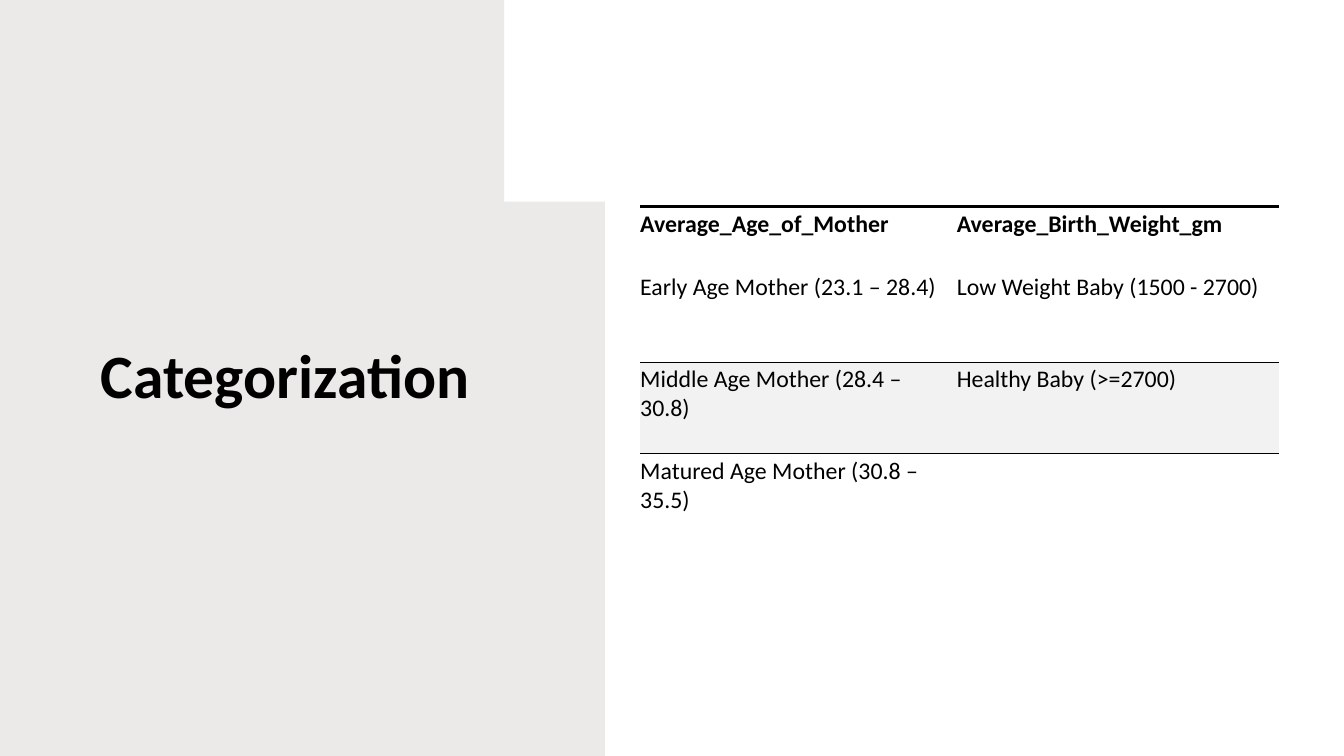
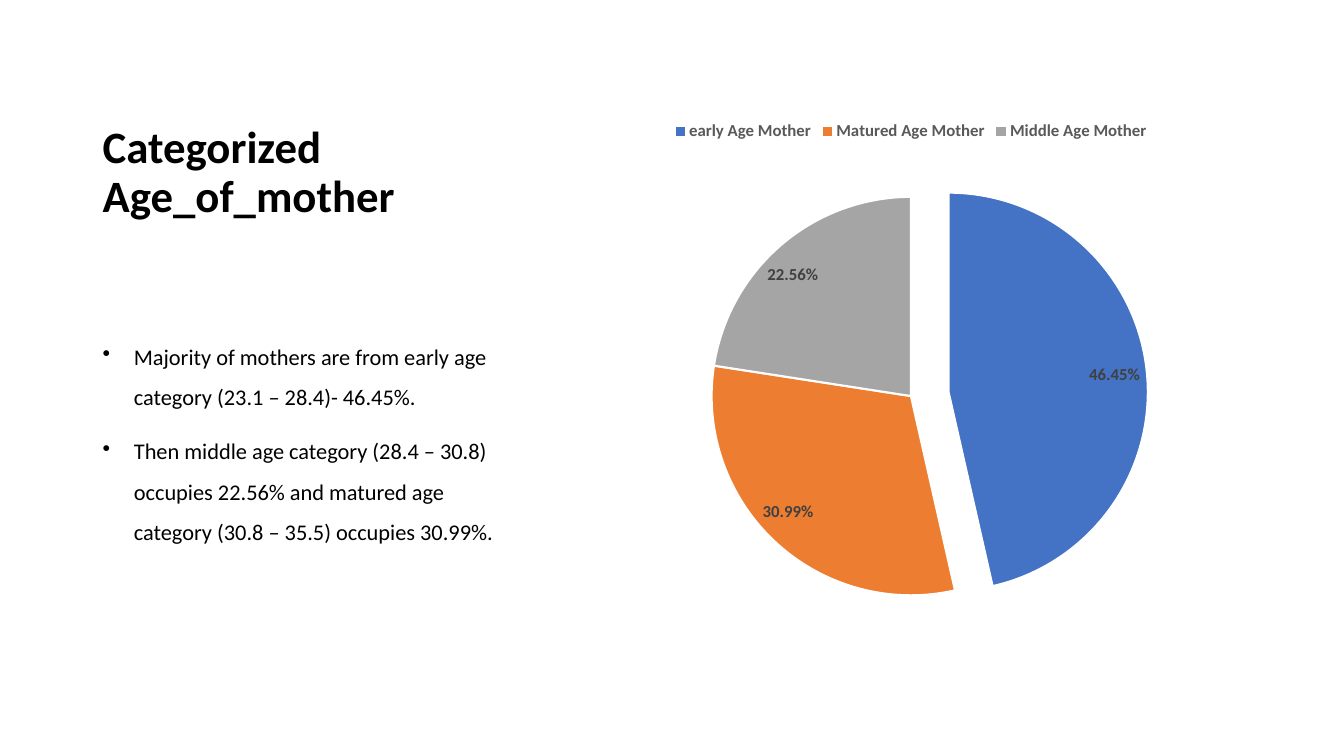
"""Build two slides on the categories of mothers' age and birth weight."""
from lxml.etree import SubElement
from pptx import Presentation
from pptx.chart.data import CategoryChartData
from pptx.dml.color import RGBColor
from pptx.enum.chart import XL_CHART_TYPE, XL_LABEL_POSITION, XL_LEGEND_POSITION
from pptx.enum.text import MSO_ANCHOR, PP_ALIGN
from pptx.oxml import parse_xml
from pptx.oxml.ns import nsdecls, qn
from pptx.util import Inches, Pt

FONT = "Calibri"
COLORS = {
    "text": "000000", "paper": "82766A", "stripe": "F2F2F2", "white": "FFFFFF",
    "legend": "595959", "label": "404040",
}
SLICE_COLORS = ["4472C4", "ED7D31", "A5A5A5"]
NO_TABLE_STYLE = "{2D5ABB26-0587-4C30-8999-92F81FD0307C}"

TABLE_ROWS = [
    ("Average_Age_of_Mother", "Average_Birth_Weight_gm"),
    ("Early Age Mother (23.1 – 28.4)", "Low Weight Baby (1500 - 2700)"),
    ("Middle Age Mother (28.4 – 30.8)", "Healthy Baby (>=2700)"),
    ("Matured Age Mother (30.8 – 35.5)", ""),
]
COL_WIDTHS = [3.14, 3.2]
ROW_HEIGHTS = [0.63, 0.91, 0.91, 0.91]
ROW_BORDERS = {0: [("T", 2.25)], 1: [("B", 0.5)], 2: [("T", 0.5)]}
STRIPED_ROW = 2

BULLETS = [
    "Majority of mothers are from early age category (23.1 – 28.4)- 46.45%.",
    "Then middle age category (28.4 – 30.8) occupies 22.56% and matured age "
    "category (30.8 – 35.5) occupies 30.99%.",
]
AGE_SHARES = {
    "early Age Mother": 0.4645,
    "Matured Age Mother": 0.3099,
    "Middle Age Mother": 0.2256,
}

TORN_EDGE = [
    (5.49, 0), (5.49, 0.05), (5.47, 0.22), (5.46, 0.45), (5.44, 0.64), (5.4, 0.88),
    (5.41, 0.92), (5.4, 0.96), (5.38, 1.03), (5.39, 1.09), (5.41, 1.17), (5.39, 1.35),
    (5.39, 1.51), (5.4, 1.6), (5.44, 1.71), (5.47, 1.78), (5.49, 1.86), (5.51, 2),
    (5.54, 2.04), (5.55, 2.17), (5.57, 2.26), (5.6, 2.38), (5.65, 2.5), (5.68, 2.55),
    (5.69, 2.69), (5.72, 2.9), (5.71, 3.02), (5.74, 3.1), (5.78, 3.14), (5.79, 3.24),
    (5.83, 3.34), (5.87, 3.5), (5.94, 3.7), (5.96, 3.85), (5.97, 4.2), (5.95, 4.39),
    (5.97, 4.48), (5.97, 4.84), (6, 4.94), (5.98, 5.1), (5.96, 5.16), (5.97, 5.24),
    (6.01, 5.34), (6.03, 5.43), (6.03, 5.61), (6.05, 5.72), (6.05, 5.78), (6.07, 5.86),
    (6.09, 6.06), (6.12, 6.17), (6.16, 6.34), (6.15, 6.43), (6.17, 6.62), (6.17, 6.74),
    (6.18, 6.84), (6.22, 6.92), (6.26, 7.17), (6.33, 7.45), (6.35, 7.5),
]


def rgb(name):
    return RGBColor.from_string(COLORS[name])


def style_font(font, size, color="text", bold=False):
    font.name, font.size, font.bold = FONT, Pt(size), bold
    font.color.rgb = rgb(color)


def add_text_frame(slide, box):
    tf = slide.shapes.add_textbox(*map(Inches, box)).text_frame
    tf.word_wrap = True
    return tf


def add_title(slide, text, box, size, align=PP_ALIGN.LEFT):
    tf = add_text_frame(slide, box)
    tf.vertical_anchor = MSO_ANCHOR.BOTTOM
    p = tf.paragraphs[0]
    p.text, p.alignment, p.line_spacing = text, align, 0.9
    style_font(p.font, size, bold=True)


def add_bullets(slide, items, box):
    tf = add_text_frame(slide, box)
    for i, item in enumerate(items):
        p = tf.paragraphs[0] if i == 0 else tf.add_paragraph()
        p.text, p.line_spacing, p.space_before = item, 1.5, Pt(10)
        style_font(p.font, 16)
        pPr = p._p.get_or_add_pPr()
        pPr.set("marL", str(Inches(0.31)))
        pPr.set("indent", str(-Inches(0.31)))
        bullet = parse_xml(f'<a:buChar {nsdecls("a")} char="•"/>')
        pPr.insert_element_before(bullet, "a:tabLst", "a:defRPr", "a:extLst")


def add_torn_paper(slide):
    builder = slide.shapes.build_freeform(0, 0, scale=Inches(1))
    builder.add_line_segments(TORN_EDGE + [(0, 7.5)], close=True)
    sp = builder.convert_to_shape()
    sp.shadow.inherit = False
    sp.line.fill.background()
    sp.fill.solid()
    sp.fill.fore_color.rgb = rgb("paper")
    color = sp.fill._xPr.find(".//" + qn("a:srgbClr"))
    SubElement(color, qn("a:alpha"), val="15000")


def add_border(cell, side, width):
    line = parse_xml(
        f'<a:ln{side} {nsdecls("a")} w="{Pt(width)}"><a:solidFill>'
        f'<a:srgbClr val="{COLORS["text"]}"/></a:solidFill></a:ln{side}>')
    cell._tc.get_or_add_tcPr().insert(0, line)


def add_category_table(slide, left, top):
    size = sum(COL_WIDTHS), sum(ROW_HEIGHTS)
    table = slide.shapes.add_table(
        len(TABLE_ROWS), len(COL_WIDTHS), *map(Inches, (left, top, *size))).table
    table.horz_banding = False
    table._tbl.tblPr.find(qn("a:tableStyleId")).text = NO_TABLE_STYLE
    for col, width in zip(table.columns, COL_WIDTHS):
        col.width = Inches(width)
    for i, (row, height) in enumerate(zip(table.rows, ROW_HEIGHTS)):
        row.height = Inches(height)
        for cell, text in zip(row.cells, TABLE_ROWS[i]):
            cell.margin_left, cell.margin_top = 0, Inches(0.03)
            cell.margin_right, cell.margin_bottom = Inches(0.08), Inches(0.25)
            p = cell.text_frame.paragraphs[0]
            p.text = text
            style_font(p.font, 17, bold=i == 0)
            if i == STRIPED_ROW:
                cell.fill.solid()
                cell.fill.fore_color.rgb = rgb("stripe")
            else:
                cell.fill.background()
            for side, width in ROW_BORDERS.get(i, []):
                add_border(cell, side, width)


def add_age_pie(slide, box):
    data = CategoryChartData(number_format="0.00%")
    data.categories = list(AGE_SHARES)
    data.add_series("Series 1", list(AGE_SHARES.values()))
    chart = slide.shapes.add_chart(XL_CHART_TYPE.PIE, *map(Inches, box), data).chart
    style_font(chart.font, 12, bold=True)
    chart.has_title = False
    chart.has_legend = True
    chart.legend.position = XL_LEGEND_POSITION.TOP
    chart.legend.include_in_layout = False
    style_font(chart.legend.font, 12, "legend", True)

    plot = chart.plots[0]
    plot.vary_by_categories = True
    series = plot.series[0]
    for i, color in enumerate(SLICE_COLORS):
        fmt = series.points[i].format
        fmt.fill.solid()
        fmt.fill.fore_color.rgb = RGBColor.from_string(color)
        fmt.line.color.rgb = rgb("white")
        fmt.line.width = Pt(1.5)
    first_point = series._element.find(qn("c:dPt"))
    explosion = parse_xml(f'<c:explosion {nsdecls("c")} val="19"/>')
    first_point.find(qn("c:spPr")).addprevious(explosion)

    labels = series.data_labels
    labels.show_value = True
    labels.number_format, labels.number_format_is_linked = "0.00%", False
    labels.position = XL_LABEL_POSITION.BEST_FIT
    style_font(labels.font, 12, "label", True)


def main():
    prs = Presentation()
    prs.slide_width, prs.slide_height = Inches(13.33), Inches(7.5)
    blank = prs.slide_layouts[6]

    s = prs.slides.add_slide(blank)
    add_torn_paper(s)
    add_title(s, "Categorization", (0.85, 1.08, 3.96, 3.06), 44, PP_ALIGN.CENTER)
    add_category_table(s, 6.35, 2.05)

    s = prs.slides.add_slide(blank)
    add_title(s, "Categorized Age_of_mother", (0.92, 0.5, 4.3, 1.75), 32)
    add_bullets(s, BULLETS, (0.92, 3.22, 4.3, 3.32))
    add_age_pie(s, (5.66, 1.09, 6.75, 5.33))

    prs.save("out.pptx")


if __name__ == "__main__":
    main()
